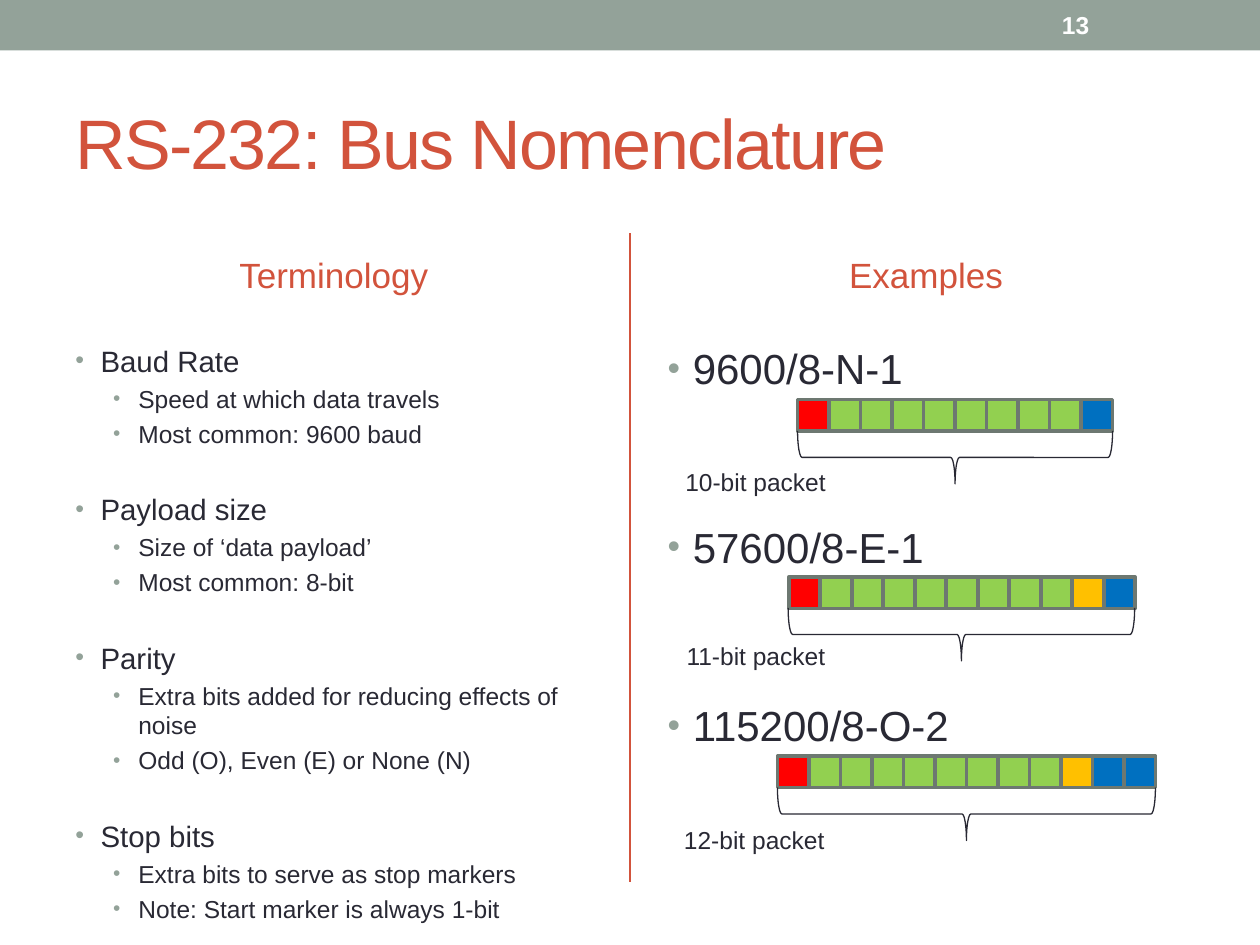
from dataclasses import dataclass

import lxml.etree
import pptx
import pptx.dml.color
import pptx.enum.shapes
import pptx.enum.text
import pptx.oxml.ns
import pptx.util

EMU_PER_PX = 9144  # 100 px to the inch
FONT = "Arial"
CELL = 25
BRACE_DEPTH = 42
COLORS = {
    "band": "93A299",
    "accent": "D2533C",
    "text": "292934",
    "white": "FFFFFF",
    "cell_border": "6D7871",
    "start": "FF0000",
    "data": "92D050",
    "parity": "FFC000",
    "stop": "0070C0",
}
ALIGN = pptx.enum.text.PP_ALIGN
ANCHOR = pptx.enum.text.MSO_ANCHOR
SHAPE = pptx.enum.shapes.MSO_SHAPE


@dataclass(frozen=True)
class Box:
    left: int
    top: int
    width: int
    height: int


@dataclass(frozen=True)
class Style:
    size: float
    color: str = "text"
    bold: bool = False
    tracking: int = 0


@dataclass(frozen=True)
class Bullet:
    text: str
    size: float
    margin: int
    space_before: float


@dataclass(frozen=True)
class Topic:
    heading: str
    details: tuple[str, ...]


@dataclass(frozen=True)
class Packet:
    name: str
    left: int
    top: int
    parity_bits: int
    stop_bits: int
    label: Box

    @property
    def bits(self) -> list[str]:
        return ["start"] + ["data"] * 8 + ["parity"] * self.parity_bits + ["stop"] * self.stop_bits


TOPICS = (
    Topic("Baud Rate", ("Speed at which data travels", "Most common: 9600 baud")),
    Topic("Payload size", ("Size of ‘data payload’", "Most common: 8-bit")),
    Topic("Parity", ("Extra bits added for reducing effects of noise", "Odd (O), Even (E) or None (N)")),
    Topic("Stop bits", ("Extra bits to serve as stop markers", "Note: Start marker is always 1-bit")),
)
PACKETS = (
    Packet("9600/8-N-1", 633, 317, 0, 1, Box(534, 366, 132, 34)),
    Packet("57600/8-E-1", 626, 458, 1, 1, Box(535, 504, 131, 34)),
    Packet("115200/8-O-2", 617, 600, 1, 2, Box(533, 650, 132, 34)),
)


def px(value: float) -> pptx.util.Emu:
    return pptx.util.Emu(round(value * EMU_PER_PX))


def rgb(name: str) -> pptx.dml.color.RGBColor:
    return pptx.dml.color.RGBColor.from_string(COLORS[name])


def add_shape(slide, kind, box: Box, fill: str = "", line: str = "", line_width: float = 0):
    shape = slide.shapes.add_shape(kind, px(box.left), px(box.top), px(box.width), px(box.height))
    shape.shadow.inherit = False
    if fill:
        shape.fill.solid()
        shape.fill.fore_color.rgb = rgb(fill)
    else:
        shape.fill.background()
    if line:
        shape.line.color.rgb = rgb(line)
        shape.line.width = pptx.util.Pt(line_width)
    else:
        shape.line.fill.background()
    return shape


def add_frame(slide, box: Box, anchor=ANCHOR.TOP, wrap: bool = True):
    shape = slide.shapes.add_textbox(px(box.left), px(box.top), px(box.width), px(box.height))
    frame = shape.text_frame
    frame.word_wrap = wrap
    frame.vertical_anchor = anchor
    return frame


def add_run(paragraph, text: str, style: Style) -> None:
    run = paragraph.add_run()
    run.text = text
    run.font.name = FONT
    run.font.size = pptx.util.Pt(style.size)
    run.font.bold = style.bold
    run.font.color.rgb = rgb(style.color)
    if style.tracking:
        run.font._element.set("spc", str(style.tracking))


def add_label(slide, box: Box, text: str, style: Style, anchor=ANCHOR.MIDDLE,
              align=ALIGN.LEFT, wrap: bool = True) -> None:
    paragraph = add_frame(slide, box, anchor, wrap).paragraphs[0]
    paragraph.alignment = align
    add_run(paragraph, text, style)


def set_bullet(paragraph, margin: int) -> None:
    """Give the paragraph a hanging round bullet."""
    properties = paragraph._p.get_or_add_pPr()
    properties.set("marL", str(px(margin)))
    properties.set("indent", str(px(-20)))
    qn = pptx.oxml.ns.qn
    color = lxml.etree.SubElement(properties, qn("a:buClr"))
    lxml.etree.SubElement(color, qn("a:srgbClr"), val=COLORS["band"])
    lxml.etree.SubElement(properties, qn("a:buSzPct"), val="85000")
    lxml.etree.SubElement(properties, qn("a:buFont"), typeface=FONT)
    lxml.etree.SubElement(properties, qn("a:buChar"), char="•")


def add_bullets(slide, box: Box, bullets: list[Bullet]) -> None:
    frame = add_frame(slide, box)
    for index, bullet in enumerate(bullets):
        paragraph = frame.add_paragraph() if index else frame.paragraphs[0]
        paragraph.space_before = pptx.util.Pt(bullet.space_before)
        set_bullet(paragraph, bullet.margin)
        add_run(paragraph, bullet.text, Style(bullet.size))


def add_divider(slide) -> None:
    connector = slide.shapes.add_connector(
        pptx.enum.shapes.MSO_CONNECTOR.STRAIGHT, px(500), px(185), px(500), px(700))
    connector.line.color.rgb = rgb("accent")
    connector.line.width = pptx.util.Pt(1.5)
    lxml.etree.SubElement(connector._element.spPr, pptx.oxml.ns.qn("a:effectLst"))


def add_packet(slide, packet: Packet) -> None:
    """Draw the row of bits, the brace beneath it and its label."""
    for index, bit in enumerate(packet.bits):
        cell = Box(packet.left + index * CELL, packet.top, CELL, CELL)
        add_shape(slide, SHAPE.RECTANGLE, cell, bit, "cell_border", 2.08)
    length = len(packet.bits) * CELL
    center_x = packet.left + length / 2
    center_y = packet.top + CELL + BRACE_DEPTH / 2
    brace_box = Box(round(center_x - BRACE_DEPTH / 2), round(center_y - length / 2), BRACE_DEPTH, length)
    brace = add_shape(slide, SHAPE.RIGHT_BRACE, brace_box, line="text", line_width=0.75)
    brace.rotation = 90
    add_label(slide, packet.label, f"{len(packet.bits)}-bit packet", Style(14), ANCHOR.TOP, wrap=False)


def topic_bullets() -> list[Bullet]:
    bullets = []
    for index, topic in enumerate(TOPICS):
        bullets.append(Bullet(topic.heading, 16.8, 20, 24.5 if index else 1.5))
        bullets += [Bullet(detail, 14, 50, 3.3) for detail in topic.details]
    return bullets


def main() -> None:
    presentation = pptx.Presentation()
    presentation.slide_width, presentation.slide_height = px(1000), px(750)
    slide = presentation.slides.add_slide(presentation.slide_layouts[6])

    add_shape(slide, SHAPE.RECTANGLE, Box(0, 0, 1000, 40), "band")
    add_divider(slide)
    add_label(slide, Box(833, 2, 117, 36), "13", Style(14, "white", bold=True))
    add_label(slide, Box(50, 58, 900, 108), "RS-232: Bus Nomenclature", Style(40, "accent", tracking=-100))

    for left, heading in ((50, "Terminology"), (520, "Examples")):
        add_label(slide, Box(left, 183, 430, 70), heading, Style(20, "accent"), align=ALIGN.CENTER)
    add_bullets(slide, Box(50, 267, 430, 432), topic_bullets())
    add_bullets(slide, Box(520, 267, 430, 432), [
        Bullet(packet.name, 24, 20, 73.2 if index else 2.5) for index, packet in enumerate(PACKETS)])
    for packet in PACKETS:
        add_packet(slide, packet)

    presentation.save("out.pptx")


if __name__ == "__main__":
    main()
